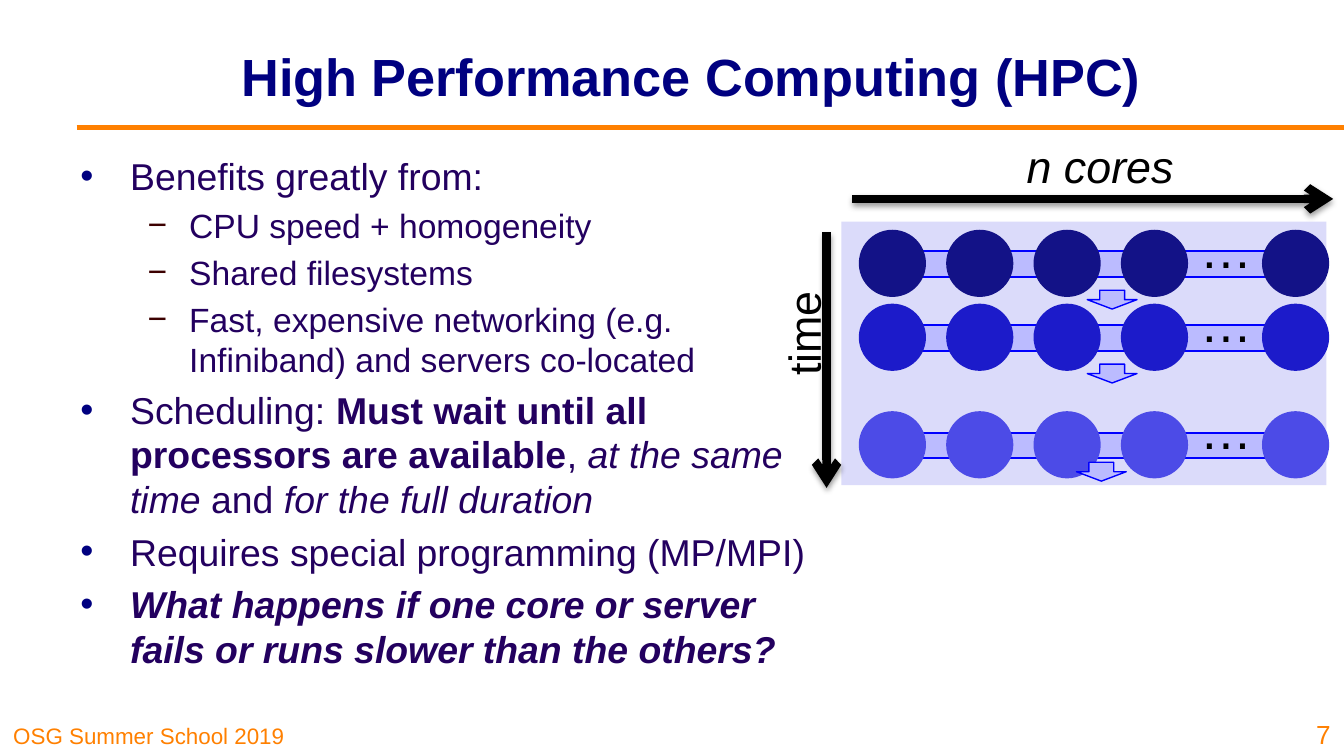
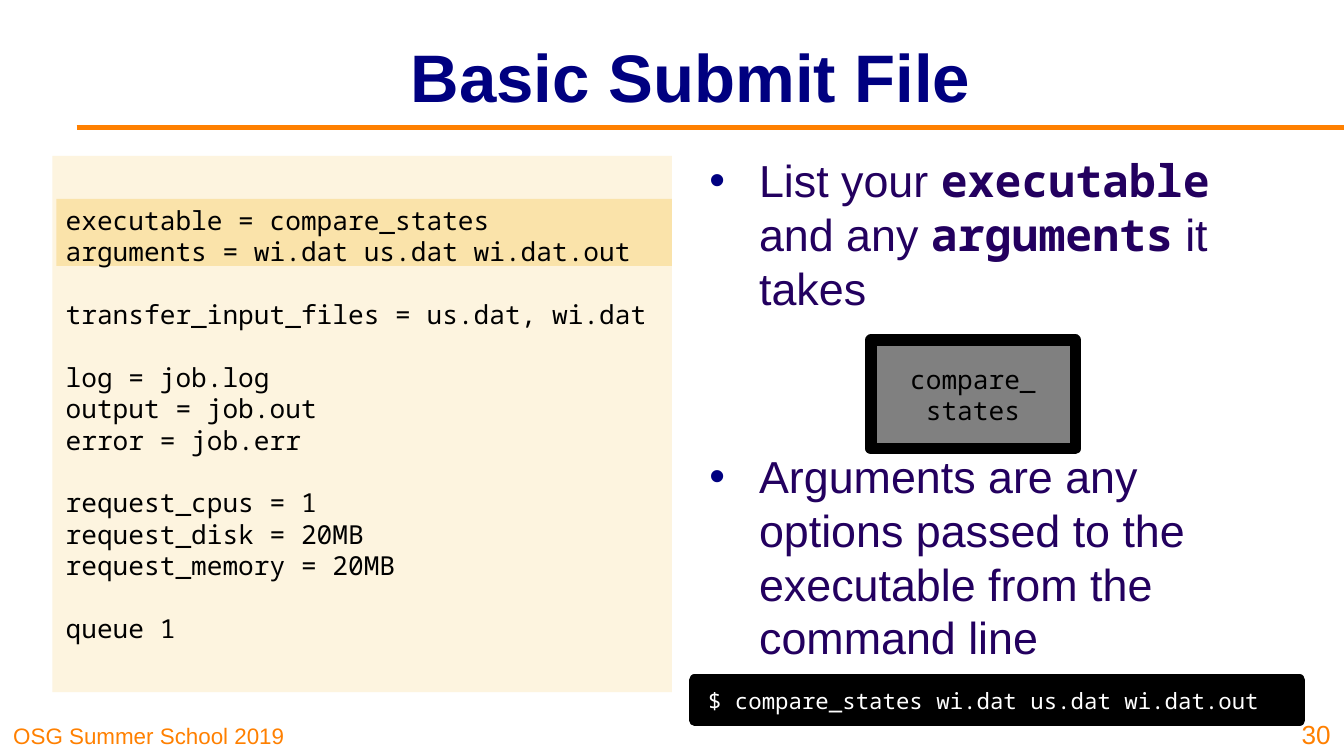
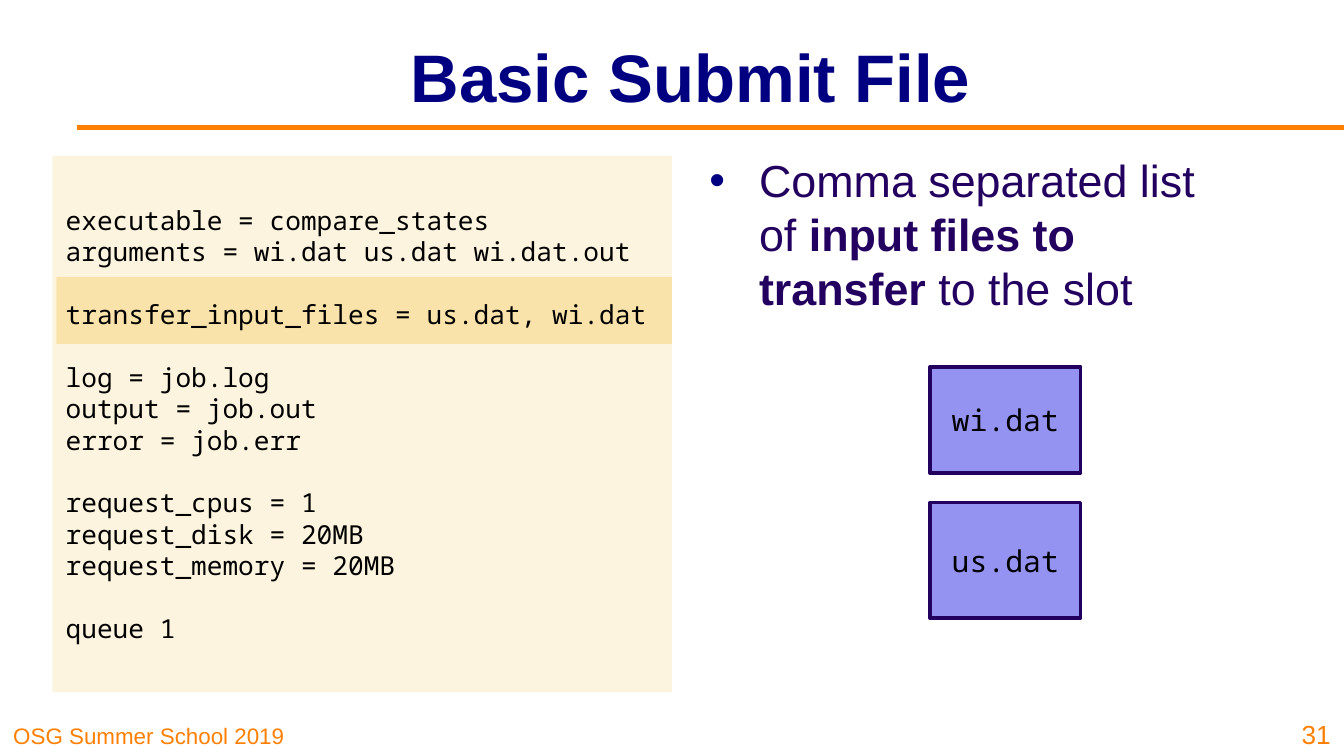
from lxml.etree import SubElement
from pptx import Presentation
from pptx.dml.color import RGBColor
from pptx.enum.shapes import MSO_CONNECTOR, MSO_SHAPE
from pptx.enum.text import MSO_ANCHOR, PP_ALIGN
from pptx.oxml.ns import qn
from pptx.util import Inches, Pt

NAVY = RGBColor(0x00, 0x00, 0x80)
ORANGE = RGBColor(0xFF, 0x80, 0x00)
PURPLE = RGBColor(0x23, 0x00, 0x5F)
MAROON = RGBColor(0x3C, 0x00, 0x00)
BLACK = RGBColor(0x00, 0x00, 0x00)
WHITE = RGBColor(0xFF, 0xFF, 0xFF)
GRAY = RGBColor(0x80, 0x80, 0x80)
BLUE = RGBColor(0x00, 0x00, 0xFF)
LAVENDER = RGBColor(0xDB, 0xDB, 0xFA)
PERIWINKLE = RGBColor(0xBB, 0xBB, 0xFF)
FILE_BLUE = RGBColor(0x94, 0x93, 0xF1)
CREAM = RGBColor(0xFD, 0xF4, 0xDF)
GOLD = RGBColor(0xFA, 0xE3, 0xAA)
CORES_FIRST = RGBColor(0x13, 0x12, 0x87)
CORES_NEXT = RGBColor(0x1C, 0x1B, 0xCA)
CORES_LAST = RGBColor(0x4C, 0x4B, 0xE7)

SANS, MONO = "Arial", "Noto Sans Mono"
FOOTER = "OSG Summer School 2019"

HPC_POINTS = [
    (0, [("Benefits greatly from:", "")]),
    (1, [("CPU speed + homogeneity", "")]),
    (1, [("Shared filesystems", "")]),
    (1, [("Fast, expensive networking (e.g. Infiniband) and servers co-located", "")]),
    (0, [("Scheduling: ", ""), ("Must wait until all processors are available", "b"),
         (", ", ""), ("at the same time", "i"), (" and ", ""),
         ("for the full duration", "i")]),
    (0, [("Requires special programming (MP/MPI)", "")]),
    (0, [("What happens if one core or server fails or runs slower than the others?", "bi")]),
]
EXECUTABLE_POINTS = [
    (0, [("List your ", ""), ("executable ", "bm"), ("and any ", ""),
         ("arguments", "bm"), (" it takes", "")]),
    (0, [("Arguments are any options passed to the executable from the command line", "")]),
]
TRANSFER_POINTS = [
    (0, [("Comma separated list of ", ""), ("input files to transfer ", "b"),
         ("to the slot", "")]),
]
SUBMIT_FILE = [
    ["executable = compare_states", "arguments = wi.dat us.dat wi.dat.out"],
    ["transfer_input_files = us.dat, wi.dat"],
    ["log = job.log", "output = job.out", "error = job.err"],
    ["request_cpus = 1", "request_disk = 20MB", "request_memory = 20MB"],
    ["queue 1"],
]
CORE_ROWS = [(1.71, CORES_FIRST, 8.09, 2.16),
             (2.26, CORES_NEXT, 8.09, 2.71),
             (3.06, CORES_LAST, 8.01, 3.44)]
CORE_LEFTS = [6.39 + 0.65 * i for i in range(4)] + [9.39]
INPUT_FILES = [("wi.dat", 2.73, 0.79), ("us.dat", 3.74, 0.86)]
BULLETS = [("•", NAVY, 0.37, 0.37), ("−", MAROON, 0.81, 0.31)]


def write(tf, text, size=14, color=BLACK, font=SANS, bold=False, italic=False,
          align=PP_ALIGN.LEFT, before=0, first=True):
    p = tf.paragraphs[0] if first else tf.add_paragraph()
    p.alignment = align
    if before:
        p.space_before = Pt(before)
    runs = [(text, "")] if isinstance(text, str) else text
    for words, style in runs:
        r = p.add_run()
        r.text = words
        r.font.name = MONO if "m" in style else font
        r.font.size = Pt(size)
        r.font.bold = bold or "b" in style
        r.font.italic = italic or "i" in style
        r.font.color.rgb = color
    return p


def add_box(s, at, anchor=MSO_ANCHOR.TOP, wrap=True):
    sp = s.shapes.add_textbox(*map(Inches, at))
    sp.text_frame.word_wrap = wrap
    sp.text_frame.vertical_anchor = anchor
    return sp


def add_shape(s, kind, at, fill, line=None, width=1):
    sp = s.shapes.add_shape(kind, *map(Inches, at))
    sp.shadow.inherit = False
    sp.fill.solid()
    sp.fill.fore_color.rgb = fill
    if line is None:
        sp.line.fill.background()
    else:
        sp.line.color.rgb = line
        sp.line.width = Pt(width)
    sp.text_frame.word_wrap = True
    sp.text_frame.vertical_anchor = MSO_ANCHOR.MIDDLE
    return sp


def add_line(s, x1, y1, x2, y2, color, width, arrow=False):
    ln = s.shapes.add_connector(MSO_CONNECTOR.STRAIGHT, *map(Inches, (x1, y1, x2, y2)))
    ln.line.color.rgb = color
    ln.line.width = Pt(width)
    effects = SubElement(ln._element.spPr, qn("a:effectLst"))
    if arrow:
        SubElement(ln.line._get_or_add_ln(), qn("a:tailEnd"), type="arrow")
        shadow = SubElement(effects, qn("a:outerShdw"), blurRad=str(Pt(3.1)),
                            dist=str(Pt(1.6)), dir="5400000", rotWithShape="0")
        clr = SubElement(shadow, qn("a:srgbClr"), val=str(BLACK))
        SubElement(clr, qn("a:alpha"), val="38000")


def add_bullets(s, at, points, sizes, gap=0):
    tf = add_box(s, at).text_frame
    for i, (level, runs) in enumerate(points):
        size = sizes[level]
        char, color, margin, hang = BULLETS[level]
        before = (gap or 0.2 * size) if i else 0
        p = write(tf, runs, size=size, color=PURPLE, before=before, first=i == 0)
        p.level = level
        pPr = p._p.get_or_add_pPr()
        pPr.set("marL", str(Inches(margin)))
        pPr.set("indent", str(-Inches(hang)))
        clr = SubElement(pPr, qn("a:buClr"))
        SubElement(clr, qn("a:srgbClr"), val=str(color))
        SubElement(pPr, qn("a:buFont"), typeface=SANS)
        SubElement(pPr, qn("a:buChar"), char=char)


def add_slide(prs, title, number, title_size=36):
    s = prs.slides.add_slide(prs.slide_layouts[6])
    footer = add_box(s, (0, 5.31, 2.48, 0.31), MSO_ANCHOR.BOTTOM)
    write(footer.text_frame, FOOTER, size=12, color=ORANGE)
    add_line(s, 0.57, 0.95, 10, 0.95, ORANGE, 3)
    heading = add_box(s, (1.34, 0.09, 7.6, 0.94), MSO_ANCHOR.MIDDLE)
    write(heading.text_frame, title, size=title_size, color=NAVY, bold=True,
          align=PP_ALIGN.CENTER)
    page = add_box(s, (9.54, 5.25, 0.46, 0.38), MSO_ANCHOR.BOTTOM)
    write(page.text_frame, number, color=ORANGE, align=PP_ALIGN.RIGHT)
    return s


def add_submit_file(s, highlight_top):
    panel = (0.39, 1.16, 4.61, 3.99)
    add_shape(s, MSO_SHAPE.RECTANGLE, panel, CREAM)
    add_shape(s, MSO_SHAPE.RECTANGLE, (0.42, highlight_top, 4.58, 0.5), GOLD)
    tf = add_box(s, panel, MSO_ANCHOR.MIDDLE).text_frame
    for g, group in enumerate(SUBMIT_FILE):
        for i, code in enumerate(group):
            write(tf, code, font=MONO, before=16.8 if g and i == 0 else 0,
                  first=g == 0 and i == 0)


def build_hpc(prs):
    s = add_slide(prs, "High Performance Computing (HPC)", "7", title_size=28)
    grid = add_shape(s, MSO_SHAPE.ROUNDED_RECTANGLE, (6.26, 1.65, 3.61, 1.96), LAVENDER)
    grid.adjustments[0] = 0
    add_bullets(s, (0.5, 1.09, 5.67, 3.84), HPC_POINTS, (20, 18))

    add_line(s, 6.15, 1.73, 6.15, 3.63, BLACK, 4.5, arrow=True)
    time = add_box(s, (5.52, 2.19, 0.91, 0.5))
    time.rotation = 270
    write(time.text_frame, "time", size=24)
    add_line(s, 6.34, 1.48, 9.92, 1.48, BLACK, 4.5, arrow=True)
    cores = add_box(s, (7.54, 0.98, 2.15, 0.5))
    write(cores.text_frame, "n cores", size=24, italic=True)

    for top, color, _, _ in CORE_ROWS:
        add_shape(s, MSO_SHAPE.RECTANGLE, (6.69, top + 0.16, 3.1, 0.19), PERIWINKLE, BLUE)
        for left in CORE_LEFTS:
            add_shape(s, MSO_SHAPE.OVAL, (left, top, 0.5, 0.5), color)
        dots = add_box(s, (8.83, top - 0.15, 0.59, 0.57), wrap=False)
        write(dots.text_frame, "…", size=28)
    for _, _, left, top in CORE_ROWS:
        add_shape(s, MSO_SHAPE.DOWN_ARROW, (left, top, 0.37, 0.14), PERIWINKLE, BLUE, 0.75)


def build_executable(prs):
    s = add_slide(prs, "Basic Submit File", "30")
    add_submit_file(s, 1.48)
    add_bullets(s, (5.18, 1.09, 4.17, 3.84), EXECUTABLE_POINTS, (24,), gap=72)
    program = add_shape(s, MSO_SHAPE.RECTANGLE, (6.48, 2.53, 1.52, 0.81), GRAY, BLACK, 6)
    for i, part in enumerate(("compare_", "states")):
        write(program.text_frame, part, font=MONO, align=PP_ALIGN.CENTER, first=i == 0)
    command = add_shape(s, MSO_SHAPE.RECTANGLE, (5.17, 5.06, 4.5, 0.3), BLACK, BLACK, 6)
    write(command.text_frame, "$ compare_states wi.dat us.dat wi.dat.out", size=12,
          color=WHITE, font=MONO)


def build_transfer(prs):
    s = add_slide(prs, "Basic Submit File", "31")
    add_submit_file(s, 2.06)
    add_bullets(s, (5.18, 1.09, 4.17, 3.84), TRANSFER_POINTS, (24,))
    for name, top, height in INPUT_FILES:
        sp = add_shape(s, MSO_SHAPE.RECTANGLE, (6.92, top, 1.12, height),
                       FILE_BLUE, PURPLE, 2)
        write(sp.text_frame, name, size=16, font=MONO, align=PP_ALIGN.CENTER)


def main():
    prs = Presentation()
    prs.slide_width = Inches(10)
    prs.slide_height = prs.slide_width * 9 // 16
    build_hpc(prs)
    build_executable(prs)
    build_transfer(prs)
    prs.save("out.pptx")


if __name__ == "__main__":
    main()
